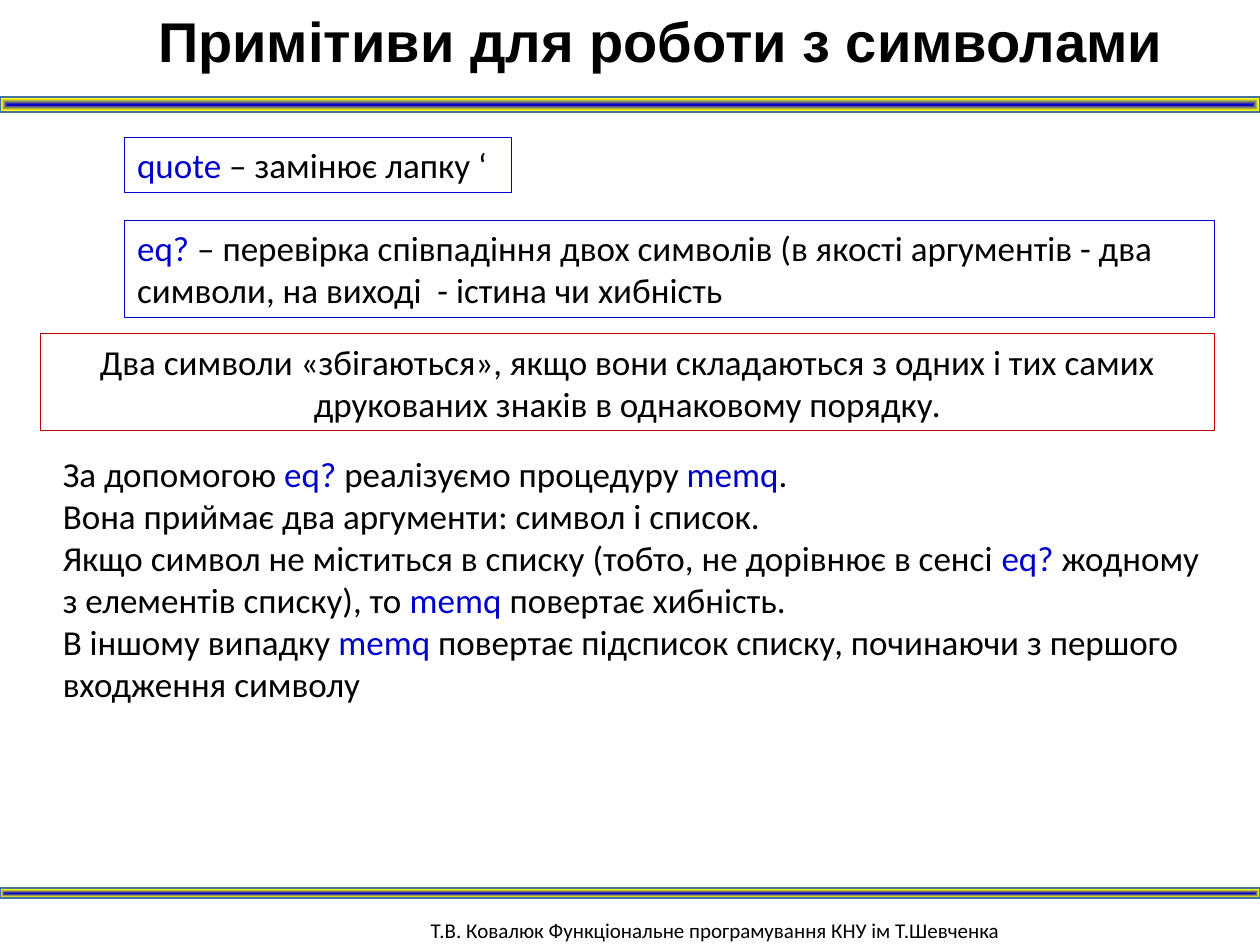
from lxml import etree
from pptx import Presentation
from pptx import util as u
from pptx.dml.color import RGBColor
from pptx.enum import shapes, text
from pptx.oxml.ns import qn

BLACK = RGBColor(0, 0, 0)
BLUE = RGBColor(0x00, 0x00, 0xCC)
RED = RGBColor(0xC0, 0x00, 0x00)
BAND_LINE = RGBColor(0x43, 0x73, 0x9E)
BAND_STOPS = [(0, "0000CC"), (77, "FFFF00"), (100, "CEE1F2")]

WIDTH, HEIGHT = 10, 7.5
RIGHT = 9.64  # common right edge of the text blocks

TITLE = "Примітиви для роботи з символами"
FOOTER = "Т.В. Ковалюк Функціональне програмування КНУ ім Т.Шевченка"

# Words between backticks are code and show in blue.
QUOTE = ["`quote `– замінює лапку ‘"]
EQ = ["`eq? `– перевірка співпадіння двох символів (в якості аргументів - два "
      "символи, на виході  - істина чи хибність"]
RULE = ["Два символи «збігаються», якщо вони складаються з одних і тих самих "
        "друкованих знаків в однаковому порядку."]
MEMQ = [
    "За допомогою `eq? `реалізуємо процедуру `memq`.",
    "Вона приймає два аргументи: символ і список.",
    "Якщо символ не міститься в списку (тобто, не дорівнює в сенсі `eq? `жодному "
    "з елементів списку), то `memq `повертає хибність.",
    "В іншому випадку `memq `повертає підсписок списку, починаючи з першого "
    "входження символу",
]

# paragraphs, left, top, right, height, outline, centred
BLOCKS = [
    (QUOTE, 0.99, 1.09, 4.06, 0.44, BLUE, False),
    (EQ, 0.99, 1.75, RIGHT, 0.77, BLUE, False),
    (RULE, 0.32, 2.65, RIGHT, 0.77, RED, True),
    (MEMQ, 0.4, 3.54, RIGHT, 2.12, None, False),
]
BANDS = [(0.77, 0.12), (7.05, 0.08)]  # top, height


def add_band(slide, top, height):
    """Full-width bar whose gradient runs from its centre to its edges."""
    sp = slide.shapes.add_shape(shapes.MSO_SHAPE.RECTANGLE, 0, u.Inches(top),
                                u.Inches(WIDTH), u.Inches(height))
    sp.shadow.inherit = False
    sp.line.color.rgb = BAND_LINE
    sp.line.width = u.Pt(1)
    grad = etree.Element(qn("a:gradFill"), rotWithShape="1")
    stops = etree.SubElement(grad, qn("a:gsLst"))
    for pos, colour in BAND_STOPS:
        stop = etree.SubElement(stops, qn("a:gs"), pos=str(pos * 1000))
        etree.SubElement(stop, qn("a:srgbClr"), val=colour)
    shade = etree.SubElement(grad, qn("a:path"), {"path": "shape"})
    etree.SubElement(shade, qn("a:fillToRect"),
                     {side: "50000" for side in "ltrb"})
    sp._element.spPr.find(qn("a:prstGeom")).addnext(grad)


def add_text(slide, paragraphs, left, top, right, height, outline=None,
             centred=False, size=20, font="Calibri", bold=None):
    sp = slide.shapes.add_textbox(u.Inches(left), u.Inches(top),
                                  u.Inches(right - left), u.Inches(height))
    if outline is not None:
        sp.line.color.rgb = outline
        sp.line.width = u.Pt(0.75)
    tf = sp.text_frame
    tf.word_wrap = True
    tf.auto_size = text.MSO_AUTO_SIZE.SHAPE_TO_FIT_TEXT
    for i, content in enumerate(paragraphs):
        p = tf.add_paragraph() if i else tf.paragraphs[0]
        p.alignment = text.PP_ALIGN.CENTER if centred else text.PP_ALIGN.LEFT
        for j, part in enumerate(content.split("`")):
            if not part:
                continue
            r = p.add_run()
            r.text = part
            r.font.name, r.font.size, r.font.bold = font, u.Pt(size), bold
            r.font.color.rgb = BLUE if j % 2 else BLACK
    return tf


def main():
    prs = Presentation()
    prs.slide_width, prs.slide_height = u.Inches(WIDTH), u.Inches(HEIGHT)
    slide = prs.slides.add_slide(prs.slide_layouts[6])

    add_text(slide, [FOOTER], 3.32, 7.23, 9.32, 0.32, size=12)
    for top, height in BANDS:
        add_band(slide, top, height)

    title = add_text(slide, [TITLE], 0, 0, WIDTH, 0.64, centred=True,
                     size=32, font="Arial", bold=True)
    p = title.paragraphs[0]
    p.space_before = p.space_after = u.Pt(6)
    pPr = p._p.get_or_add_pPr()
    pPr.set("marL", "0")
    pPr.set("indent", str(u.Inches(0.49)))

    for block in BLOCKS:
        add_text(slide, *block)
    prs.save("out.pptx")


if __name__ == "__main__":
    main()
